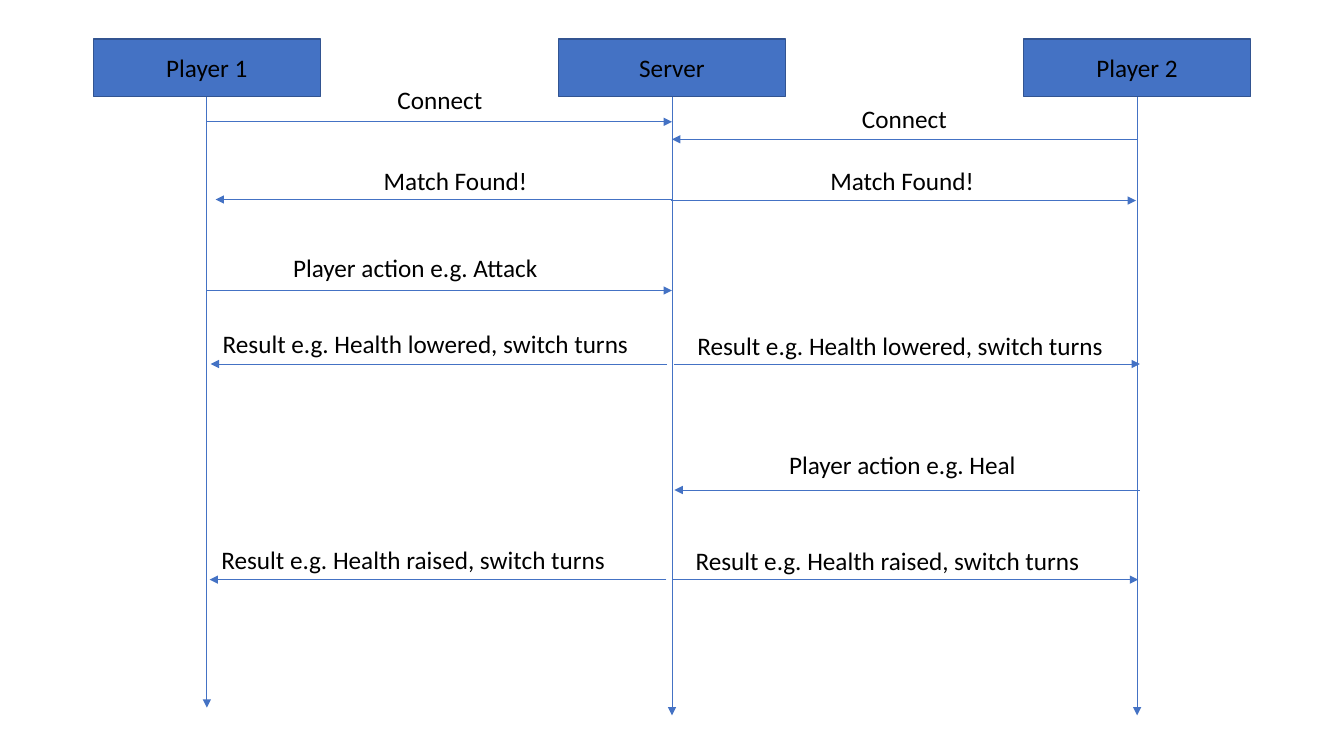
from pptx import Presentation
from pptx.dml.color import RGBColor
from pptx.enum.shapes import MSO_CONNECTOR as Link, MSO_SHAPE as Form
from pptx.enum.text import MSO_ANCHOR as Anchor, PP_ALIGN as Align
from pptx.oxml.ns import qn
from pptx.util import Pt
from lxml.etree import SubElement as Sub

BLUE = RGBColor(0x44, 0x72, 0xC4)
EDGE = RGBColor(0x32, 0x54, 0x91)
BLACK = RGBColor(0, 0, 0)

ACTORS = [("Player 1", 505.5), ("Server", 511), ("Player 2", 511)]
LOWER = "Result e.g. Health lowered, switch turns"
RAISE = "Result e.g. Health raised, switch turns"
MID, LEFT = Align.CENTER, Align.LEFT
CALLS = [
    ("Connect", MID, (252, 57, 124.5), (147.75, 480, 87)),
    ("Connect", MID, (586, 70, 120), (812.25, 480, 99.5)),
    ("Match Found!", LEFT, (267, 114.5, 124), (480, 154, 142.5)),
    ("Match Found!", LEFT, (586, 114.5, 124), (479, 811.5, 143.25)),
    ("Player action e.g. Attack", LEFT, (202.25, 177, 230), (147.75, 480, 207.5)),
    (LOWER, LEFT, (152, 231, 312), (476.5, 150.5, 260)),
    (LOWER, LEFT, (491, 232.5, 312), (481.75, 814.25, 260)),
    ("Player action e.g. Heal", LEFT, (556.5, 317.5, 198), (814.25, 481.75, 350)),
    (RAISE, LEFT, (151, 385, 312), (476, 149.75, 414)),
    (RAISE, LEFT, (489.75, 386, 312), (481, 813, 414)),
]


def write(frame, text, size=18, color=BLACK, align=LEFT, face="Calibri"):
    """Put formatted text into a text frame."""
    frame.word_wrap = True
    para = frame.paragraphs[0]
    para.alignment = align
    run = para.add_run()
    run.text = text
    run.font.size, run.font.name = Pt(size), face
    run.font.color.rgb = color


class Chart:
    """Draw the parts of a sequence diagram on one slide."""

    def __init__(self, slide, fill=BLUE, edge=EDGE, thin=0.5):
        self.shapes = slide.shapes
        self.fill, self.edge, self.thin = fill, edge, thin

    def box(self, text, x, y, w, h):
        """Add a filled box with centred text."""
        shape = self.shapes.add_shape(Form.RECTANGLE, Pt(x), Pt(y), Pt(w), Pt(h))
        shape.shadow.inherit = False
        shape.fill.solid()
        shape.fill.fore_color.rgb = self.fill
        shape.line.color.rgb = self.edge
        shape.line.width = Pt(1)
        shape.text_frame.vertical_anchor = Anchor.MIDDLE
        write(shape.text_frame, text, align=MID)

    def label(self, text, x, y, w, align):
        """Add a one-line text box."""
        area = self.shapes.add_textbox(Pt(x), Pt(y), Pt(w), Pt(29))
        write(area.text_frame, text, align=align)

    def arrow(self, x, y, end, foot):
        """Add a thin line with a triangle at its end."""
        line = self.shapes.add_connector(Link.STRAIGHT, Pt(x), Pt(y), Pt(end), Pt(foot))
        line.line.color.rgb = self.fill
        line.line.width = Pt(self.thin)
        Sub(line.line._get_or_add_ln(), qn("a:tailEnd"), type="triangle")
        Sub(line._element.spPr, qn("a:effectLst"))


deck = Presentation()
deck.slide_width, deck.slide_height = Pt(960), Pt(540)
chart = Chart(deck.slides.add_slide(deck.slide_layouts[6]))

top, wide, high = 28, 162, 41
for i, (name, foot) in enumerate(ACTORS):
    mid = 147.75 + 332.25 * i
    chart.box(name, mid - wide / 2, top, wide, high)
    chart.arrow(mid, top + high, mid, foot)

for text, align, spot, (start, end, y) in CALLS:
    chart.arrow(start, y, end, y)
    chart.label(text, *spot, align)

deck.save("out.pptx")
